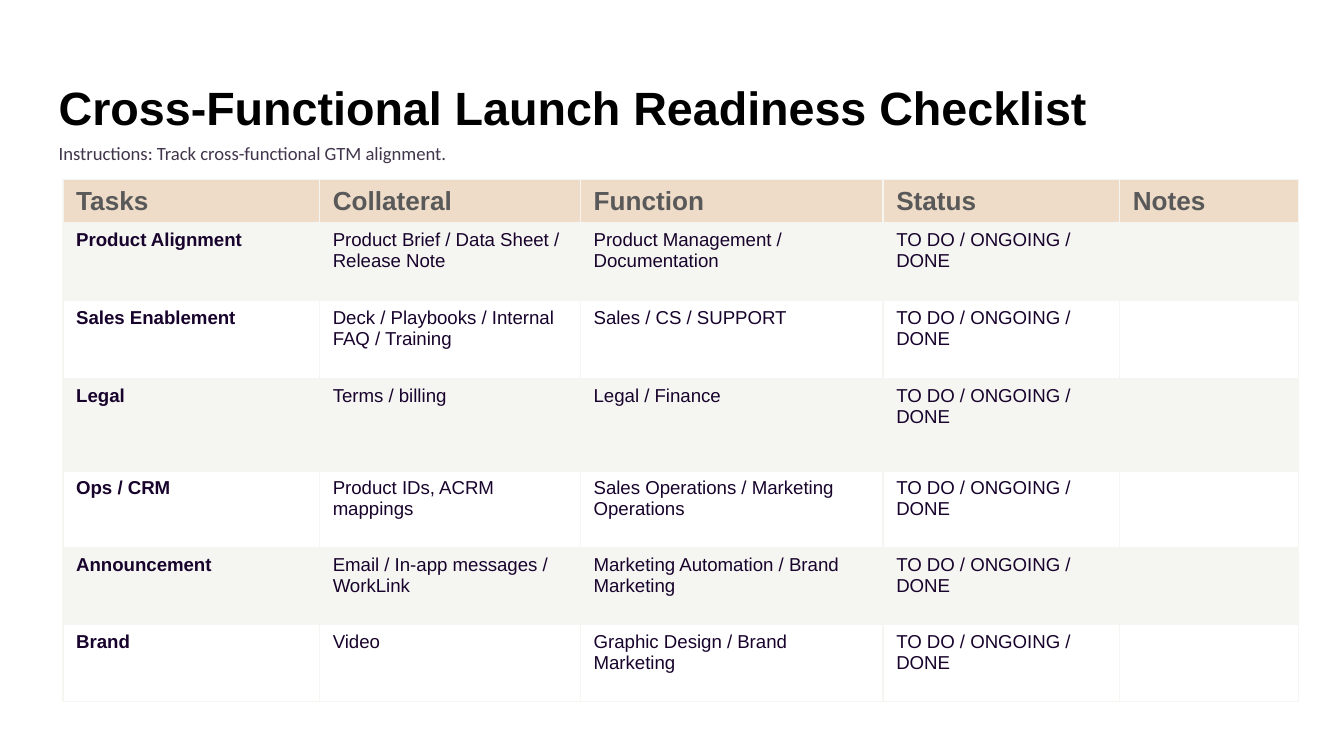
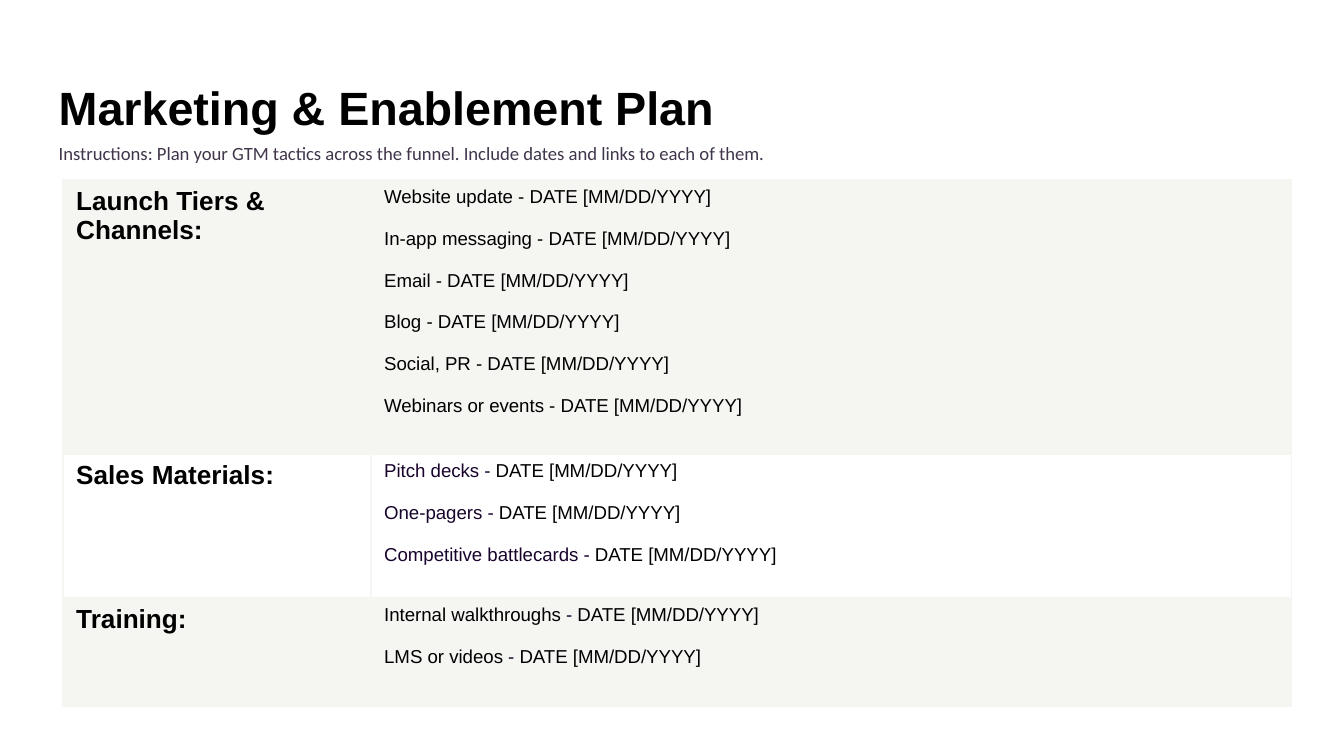
import pptx
import pptx.dml.color
import pptx.enum.text
import pptx.oxml
import pptx.oxml.ns
import pptx.util
from lxml import etree

Cm = pptx.util.Cm
Pt = pptx.util.Pt

COLOURS = {
    "black": "000000",
    "ink": "18032C",
    "subtitle": "41354B",
    "heading": "595959",
    "sand": "EEDCC8",
    "stone": "F5F5F2",
    "white": "FFFFFF",
}
TITLE_BOX = (0.86, 1.24, 21.82, 1.6)
SUBTITLE_BOX = (0.86, 2.36, 23.55, 0.94)
TABLE_CORNER = (1.19, 3.4)

CHECKLIST_HEADINGS = ["Tasks", "Collateral", "Function", "Status", "Notes"]
STATUS = "TO DO / ONGOING / DONE"
CHECKLIST = [
    ("Product Alignment", "Product Brief / Data Sheet / Release Note",
     "Product Management / Documentation"),
    ("Sales Enablement", "Deck / Playbooks / Internal FAQ / Training", "Sales / CS / SUPPORT"),
    ("Legal", "Terms / billing", "Legal / Finance"),
    ("Ops / CRM", "Product IDs, ACRM mappings", "Sales Operations / Marketing Operations"),
    ("Announcement", "Email / In-app messages / WorkLink", "Marketing Automation / Brand Marketing"),
    ("Brand", "Video", "Graphic Design / Brand Marketing"),
]

DATE = "DATE [MM/DD/YYYY]"
# Heading, colour of the item names, colour of the dashes, items
PLAN = [
    ("Launch Tiers & Channels:", "black", "black",
     ["Website update", "In-app messaging", "Email", "Blog", "Social, PR", "Webinars or events"]),
    ("Sales Materials:", "ink", "ink", ["Pitch decks", "One-pagers", "Competitive battlecards"]),
    ("Training:", "black", "ink", ["Internal walkthroughs", "LMS or videos"]),
]


def rgb(colour):
    return pptx.dml.color.RGBColor.from_string(COLOURS[colour])


def write_runs(para, pieces, size, bold=False, font="Arial"):
    """Add each (text, colour) piece to the paragraph as a run."""
    for text, colour in pieces:
        span = para.add_run()
        span.text = text
        span.font.name = font
        span.font.size = Pt(size)
        span.font.bold = bold
        span.font.color.rgb = rgb(colour)


def format_frame(frame):
    frame.word_wrap = True
    frame.auto_size = pptx.enum.text.MSO_AUTO_SIZE.NONE
    frame.vertical_anchor = pptx.enum.text.MSO_ANCHOR.TOP
    frame.margin_left = frame.margin_right = Cm(0.25)
    frame.margin_top = frame.margin_bottom = Cm(0.25)


def add_heading(page, title, instructions):
    box = page.shapes.title
    box.left, box.top, box.width, box.height = map(Cm, TITLE_BOX)
    format_frame(box.text_frame)
    para = box.text_frame.paragraphs[0]
    para.alignment = pptx.enum.text.PP_ALIGN.LEFT
    write_runs(para, [(title, "black")], 25, bold=True)

    box = page.shapes.add_textbox(*map(Cm, SUBTITLE_BOX))
    format_frame(box.text_frame)
    para = box.text_frame.paragraphs[0]
    para.line_spacing = 1.15
    write_runs(para, [(instructions, "subtitle")], 10, font="Calibri")


def style_cell(cell, fill):
    """Give the cell its margins, thin borders and fill."""
    cell.margin_left = cell.margin_right = Cm(0.25)
    cell.margin_top = cell.margin_bottom = Cm(0.13)
    properties = cell._tc.get_or_add_tcPr()
    for side in ("a:lnL", "a:lnR", "a:lnT", "a:lnB"):
        line = etree.SubElement(properties, pptx.oxml.ns.qn(side), w=str(Pt(0.75)))
        solid = etree.SubElement(line, pptx.oxml.ns.qn("a:solidFill"))
        etree.SubElement(solid, pptx.oxml.ns.qn("a:srgbClr"), val=COLOURS["stone"])
    cell.fill.solid()
    cell.fill.fore_color.rgb = rgb(fill)


def add_grid(page, corner, widths, heights, fills):
    """Add a table with its top left at corner and one fill per row."""
    left, top = corner
    table = page.shapes.add_table(
        len(heights), len(widths), Cm(left), Cm(top), Cm(sum(widths)), Cm(sum(heights))).table
    table.first_row = table.horz_banding = False
    for column, width in zip(table.columns, widths):
        column.width = Cm(width)
    for row, height, fill in zip(table.rows, heights, fills):
        row.height = Cm(height)
        for cell in row.cells:
            style_cell(cell, fill)
    return table


def add_checklist(page, corner):
    widths = [4.85, 4.93, 5.72, 4.47, 3.38]
    heights = [0.77, 1.47, 1.47, 1.75, 1.45, 1.45, 1.45]
    table = add_grid(page, corner, widths, heights, ["sand"] + ["stone", "white"] * 3)
    for column, heading in enumerate(CHECKLIST_HEADINGS):
        para = table.cell(0, column).text_frame.paragraphs[0]
        write_runs(para, [(heading, "heading")], 14, bold=True)
    for row, entry in enumerate(CHECKLIST, start=1):
        for column, text in enumerate((*entry, STATUS)):
            para = table.cell(row, column).text_frame.paragraphs[0]
            write_runs(para, [(text, "ink")], 10, bold=column == 0)


def add_plan(page, corner):
    table = add_grid(page, corner, [5.82, 17.4], [5.18, 2.72, 2.06], ["stone", "white", "stone"])
    for row, (heading, name_colour, dash_colour, items) in enumerate(PLAN):
        para = table.cell(row, 0).text_frame.paragraphs[0]
        write_runs(para, [(heading, "black")], 14, bold=True)
        frame = table.cell(row, 1).text_frame
        for index, item in enumerate(items):
            para = frame.add_paragraph() if index else frame.paragraphs[0]
            para.space_before = Pt(11.2 if index else 0)
            pieces = [(item + " ", name_colour), ("- ", dash_colour), (DATE, "black")]
            write_runs(para, pieces, 10)


def add_page(deck, title, instructions, add_content):
    title_only = deck.slide_layouts[5]
    page = deck.slides.add_slide(title_only)
    add_heading(page, title, instructions)
    add_content(page, TABLE_CORNER)


def main():
    deck = pptx.Presentation()
    deck.slide_width, deck.slide_height = Cm(25.4), Cm(14.29)
    add_page(deck, "Cross-Functional Launch Readiness Checklist",
             "Instructions: Track cross-functional GTM alignment.", add_checklist)
    add_page(deck, "Marketing & Enablement Plan",
             "Instructions: Plan your GTM tactics across the funnel. "
             "Include dates and links to each of them.", add_plan)
    deck.save("out.pptx")


if __name__ == "__main__":
    main()
